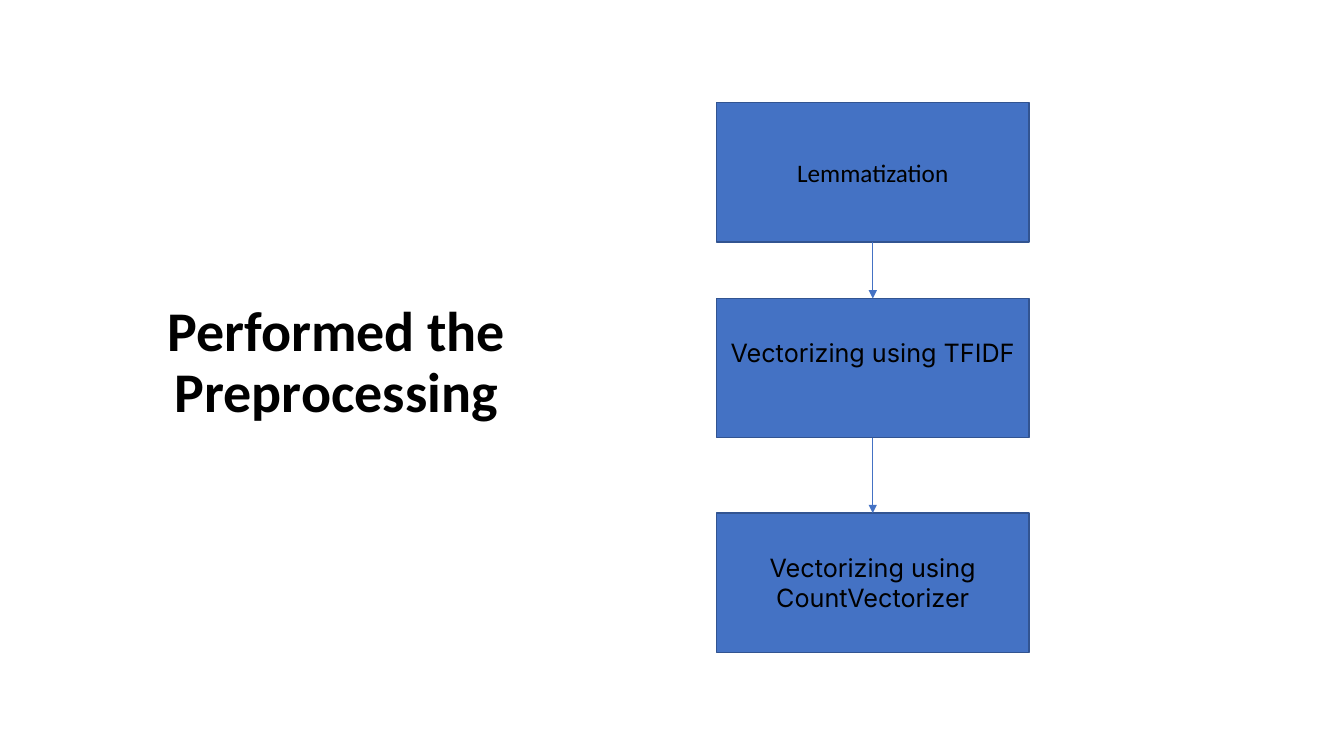
from dataclasses import dataclass
from itertools import pairwise

from pptx import Presentation
from pptx.dml.color import RGBColor
from pptx.enum.shapes import MSO_CONNECTOR as Connector, MSO_SHAPE as Shape
from pptx.enum.text import MSO_ANCHOR as Anchor, MSO_AUTO_SIZE as AutoSize, PP_ALIGN as Align
from pptx.oxml.ns import qn
from pptx.util import Cm, Pt
from lxml.etree import SubElement


@dataclass(frozen=True)
class Theme:
    text: RGBColor = RGBColor(0x00, 0x00, 0x00)
    step_fill: RGBColor = RGBColor(0x44, 0x72, 0xC4)
    step_line: RGBColor = RGBColor(0x32, 0x54, 0x91)
    heading_font: str = "Calibri"
    step_font: str = "Inter"
    heading_size: Pt = Pt(40)
    step_size: Pt = Pt(18)
    step_line_width: Pt = Pt(1)
    arrow_width: Pt = Pt(0.5)


THEME = Theme()

# Text, font, offset from the top of the flow (cm), bottom inset (cm)
STEPS = [
    ("Lemmatization", THEME.heading_font, 0, 0.13),
    ("Vectorizing using TFIDF", THEME.step_font, 4.93, 0.9),
    ("Vectorizing using CountVectorizer", THEME.step_font, 10.34, 0.13),
]
STEP_HEIGHT = 3.51


def style_paragraph(paragraph, font_name, size, bold=False):
    paragraph.alignment = Align.CENTER
    font = paragraph.font
    font.name, font.size, font.bold = font_name, size, bold
    font.color.rgb = THEME.text


def add_heading(slide, left, top, width, height):
    heading = slide.shapes.title
    heading.left, heading.top = Cm(left), Cm(top)
    heading.width, heading.height = Cm(width), Cm(height)
    frame = heading.text_frame
    frame.text = "Performed the Preprocessing"
    frame.word_wrap = True
    frame.auto_size = AutoSize.NONE
    frame.vertical_anchor = Anchor.TOP
    paragraph = frame.paragraphs[0]
    paragraph.line_spacing = 0.9
    paragraph.space_before = Pt(0)
    style_paragraph(paragraph, THEME.heading_font, THEME.heading_size, bold=True)


def add_step(slide, left, top, width, text, font_name, bottom_inset):
    step = slide.shapes.add_shape(
        Shape.RECTANGLE, Cm(left), Cm(top), Cm(width), Cm(STEP_HEIGHT))
    step.shadow.inherit = False
    step.fill.solid()
    step.fill.fore_color.rgb = THEME.step_fill
    step.line.color.rgb = THEME.step_line
    step.line.width = THEME.step_line_width
    frame = step.text_frame
    frame.text = text
    frame.word_wrap = True
    frame.vertical_anchor = Anchor.MIDDLE
    frame.margin_bottom = Cm(bottom_inset)
    style_paragraph(frame.paragraphs[0], font_name, THEME.step_size)
    return step


def add_arrow(slide, upper, lower):
    arrow = slide.shapes.add_connector(Connector.STRAIGHT, 0, 0, 0, 0)
    arrow.begin_connect(upper, 2)
    arrow.end_connect(lower, 0)
    arrow.line.color.rgb = THEME.step_fill
    arrow.line.width = THEME.arrow_width
    SubElement(arrow.line._get_or_add_ln(), qn("a:tailEnd"), type="triangle")
    SubElement(arrow._element.spPr, qn("a:effectLst"))


def add_flow(slide, left, top, width):
    steps = [add_step(slide, left, top + offset, width, text, font_name, inset)
             for text, font_name, offset, inset in STEPS]
    for upper, lower in pairwise(steps):
        add_arrow(slide, upper, lower)


def main():
    deck = Presentation()
    deck.slide_width, deck.slide_height = Cm(33.87), Cm(19.05)
    slide = deck.slides.add_slide(deck.slide_layouts[5])

    # Heading on the left
    add_heading(slide, 1.12, 7.52, 14.71, 8.79)
    # Preprocessing steps on the right
    add_flow(slide, 18.06, 2.59, 7.87)

    deck.save("out.pptx")


if __name__ == "__main__":
    main()
